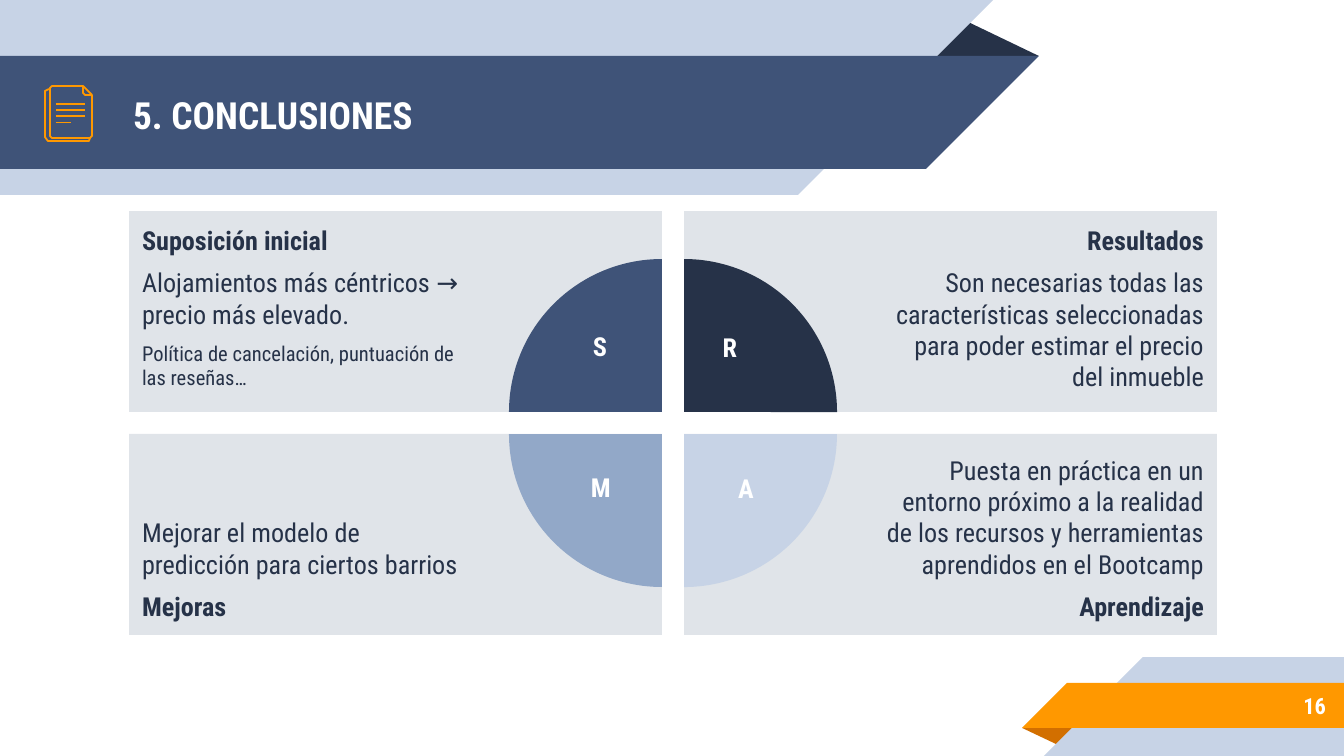
from lxml.etree import SubElement
from pptx import Presentation
from pptx.dml.color import RGBColor
from pptx.enum.shapes import MSO_CONNECTOR, MSO_SHAPE
from pptx.enum.text import MSO_ANCHOR, MSO_AUTO_SIZE, PP_ALIGN
from pptx.oxml.ns import qn
from pptx.util import Emu, Pt

SCALE = 914400 / 134.4
FONT = "Roboto Condensed"
WHITE, INK, NAVY = "FFFFFF", "263248", "3F5378"
STEEL, PALE, PANEL = "92A8C8", "C7D3E6", "E0E4E9"
ORANGE, RUST = "FF9800", "D26F00"
PAD = 13


def px(length):
    return Emu(round(length * SCALE))


def color(code):
    return RGBColor.from_string(code)


def paint(shape, fill=None, line=None):
    shape.shadow.inherit = False
    if fill:
        shape.fill.solid()
        shape.fill.fore_color.rgb = color(fill)
    else:
        shape.fill.background()
    if line:
        shape.line.color.rgb = color(line)
        shape.line.width = Pt(0.96)
    else:
        shape.line.fill.background()


def setup_frame(frame, anchor=MSO_ANCHOR.TOP, insets=(PAD, PAD, PAD, PAD), wrap=True):
    """Set anchor, wrapping and the left, top, right and bottom insets."""
    frame.auto_size = MSO_AUTO_SIZE.NONE
    frame.word_wrap = wrap
    frame.vertical_anchor = anchor
    (frame.margin_left, frame.margin_top,
     frame.margin_right, frame.margin_bottom) = map(px, insets)


def write(para, text, size=14, ink=INK, bold=False, align=PP_ALIGN.LEFT, before=0):
    para.alignment = align
    para.space_before = Pt(before)
    span = para.add_run()
    span.text = text
    span.font.name = FONT
    span.font.size = Pt(size)
    span.font.bold = bold
    span.font.color.rgb = color(ink)


def add_text(page, box, text, anchor=MSO_ANCHOR.TOP, insets=(PAD, PAD, PAD, PAD),
             wrap=True, **style):
    frame = page.shapes.add_textbox(*map(px, box)).text_frame
    setup_frame(frame, anchor, insets, wrap)
    write(frame.paragraphs[0], text, **style)


def add_outline(page, box, points, close=True, **look):
    """Draw a polygon or open path whose points are relative to the box."""
    left, top = box[:2]
    builder = page.shapes.build_freeform(*points[0], scale=SCALE)
    builder.add_line_segments(points[1:], close=close)
    paint(builder.convert_to_shape(px(left), px(top)), **look)


def add_rule(page, x1, y1, x2, y2):
    rule = page.shapes.add_connector(MSO_CONNECTOR.STRAIGHT, *map(px, (x1, y1, x2, y2)))
    rule.line.color.rgb = color(ORANGE)
    rule.line.width = Pt(0.96)
    SubElement(rule._element.spPr, qn("a:effectLst"))


def add_icon(page, box):
    """Draw two stacked sheets with a folded corner and text lines."""
    left, top, width, height = box
    fold, base = width - 9, height - 4
    back = [(width - 2, base), (width - 3, height - 1), (3, height - 1),
            (0, base - 1), (0, 5), (4, 3)]
    front = [(width, 9), (width, base - 2), (width - 2, base), (7, base),
             (5, base - 2), (5, 2), (7, 0), (fold, 0)]
    corner = [(fold, 0), (width, 9), (fold + 2, 9), (fold, 7)]
    for points, close in ((back, False), (front, False), (corner, True)):
        add_outline(page, box, points, close, line=ORANGE)
    for row, length in enumerate((29, 29, 29, 15)):
        y = top + 18 + row * 6.2
        add_rule(page, left + 11, y, left + 11 + length, y)


def add_header(page, box, heading):
    left, top, width, height = box
    add_outline(page, box, [(925, 56), (962, 19), (width, 56)], fill=INK)
    add_outline(page, box, [(0, 0), (993, 0), (993 - height, height), (0, height)], fill=PALE)
    add_outline(page, box, [(0, 56), (width, 56), (width - 113, 169), (0, 169)], fill=NAVY)
    title = page.shapes.title
    title.element.getparent().append(title.element)  # bring in front of the bands
    title.left, title.top, title.width, title.height = map(
        px, (left + 120, top + 58, 773, 113))
    setup_frame(title.text_frame, MSO_ANCHOR.MIDDLE)
    write(title.text_frame.paragraphs[0], heading, size=20, ink=WHITE, bold=True)
    add_icon(page, (left + 45, top + 86, 47, 56))


def add_footer(page, box, number):
    left, top, width, height = box
    add_outline(page, box, [(0, 71), (57, 71), (38, 89)], fill=RUST)
    add_outline(page, box, [(121, 0), (width, 0), (width, height), (121 - height, height)],
                fill=PALE)
    add_outline(page, box, [(45, 26), (width, 26), (width, 71), (0, 71)], fill=ORANGE)
    add_text(page, (left + 98, top + 25, 219, 47), number, MSO_ANCHOR.MIDDLE,
             size=12, ink=WHITE, bold=True, align=PP_ALIGN.RIGHT)


def add_panel(page, box, lines, on_right, at_bottom):
    panel = page.shapes.add_shape(MSO_SHAPE.RECTANGLE, *map(px, box))
    paint(panel, fill=PANEL)
    insets = (202, PAD, PAD, PAD) if on_right else (PAD, PAD, 202, PAD)
    frame = panel.text_frame
    setup_frame(frame, MSO_ANCHOR.BOTTOM if at_bottom else MSO_ANCHOR.TOP, insets)
    for index, (text, style) in enumerate(lines):
        para = frame.add_paragraph() if index else frame.paragraphs[0]
        write(para, text, before=6 if index else 0,
              align=PP_ALIGN.RIGHT if on_right else PP_ALIGN.LEFT, **style)


def add_quarter(page, box, on_right, at_bottom, fill):
    """Add a quarter disc centred on the panel corner nearest the middle."""
    left, top, width, height = box
    center_x = left if on_right else left + width
    center_y = top if at_bottom else top + height
    radius = 153
    pie = page.shapes.add_shape(MSO_SHAPE.PIE, px(center_x - radius), px(center_y - radius),
                                px(2 * radius), px(2 * radius))
    pie.adjustments[0], pie.adjustments[1] = 108, 162
    pie.rotation = {(0, 0): 0, (1, 0): 90, (1, 1): 180, (0, 1): 270}[on_right, at_bottom]
    paint(pie, fill=fill)


def add_matrix(page, box, quadrants):
    left, top, width, height = box
    gap = 22
    cell_width, cell_height = (width - gap) // 2, (height - gap) // 2
    cells = [(left + on_right * (cell_width + gap), top + at_bottom * (cell_height + gap),
              cell_width, cell_height) for on_right, at_bottom, *_ in quadrants]
    for cell, (on_right, at_bottom, _, _, _, lines) in zip(cells, quadrants):
        add_panel(page, cell, lines, on_right, at_bottom)
    for cell, (on_right, at_bottom, fill, *_) in zip(cells, quadrants):
        add_quarter(page, cell, on_right, at_bottom, fill)
    for _, _, _, letter, (x, y), _ in quadrants:
        add_text(page, (left + x - 20, top + y, 40, 57), letter, insets=(0, 7, 0, 7),
                 wrap=False, ink=WHITE, bold=True, align=PP_ALIGN.CENTER)


BOLD, PLAIN, SMALL = {"bold": True}, {}, {"size": 11}
# on right, at bottom, disc fill, letter, letter's top centre, lines
QUADRANTS = [
    (0, 0, NAVY, "S", (471, 112), [
        ("Suposición inicial", BOLD),
        ("Alojamientos más céntricos → precio más elevado.", PLAIN),
        ("Política de cancelación, puntuación de las reseñas…", SMALL)]),
    (1, 0, INK, "R", (601, 113), [
        ("Resultados", BOLD),
        ("Son necesarias todas las características seleccionadas para poder "
         "estimar el precio del inmueble", PLAIN)]),
    (0, 1, STEEL, "M", (472, 253), [
        ("Mejorar el modelo de predicción para ciertos barrios", PLAIN),
        ("Mejoras", BOLD)]),
    (1, 1, PALE, "A", (617, 254), [
        ("Puesta en práctica en un entorno próximo a la realidad de los recursos "
         "y herramientas aprendidos en el Bootcamp", PLAIN),
        ("Aprendizaje", BOLD)]),
]


def main():
    deck = Presentation()
    deck.slide_width, deck.slide_height = px(1344), px(756)
    page = deck.slides.add_slide(deck.slide_layouts[5])
    add_header(page, (0, 0, 1039, 195), "5. CONCLUSIONES")
    add_footer(page, (1022, 657, 322, 99), "16")
    add_matrix(page, (129, 211, 1089, 424), QUADRANTS)
    deck.save("out.pptx")


if __name__ == "__main__":
    main()
